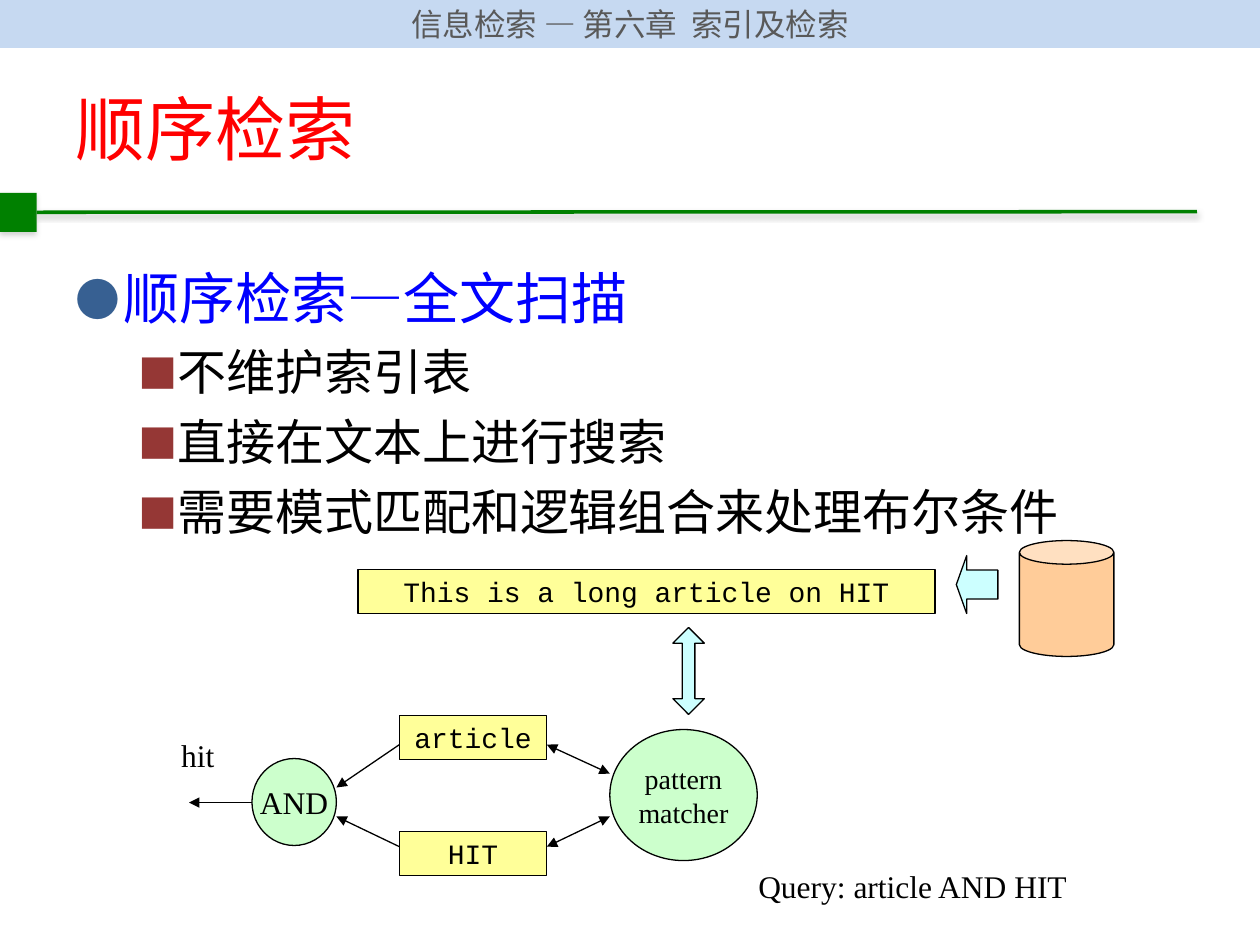
import pptx
import pptx.util
import pptx.dml.color
import pptx.enum.shapes
import pptx.enum.text
import pptx.oxml.ns
from lxml import etree

Inches = pptx.util.Inches
Pt = pptx.util.Pt
RGBColor = pptx.dml.color.RGBColor
KIND = pptx.enum.shapes.MSO_SHAPE
ALIGN = pptx.enum.text.PP_ALIGN
MIDDLE = pptx.enum.text.MSO_ANCHOR.MIDDLE
qn = pptx.oxml.ns.qn

BLACK = RGBColor(0, 0, 0)
GRAY = RGBColor(0x59, 0x59, 0x59)
RED = RGBColor(0xFF, 0, 0)
BLUE = RGBColor(0, 0, 0xFF)
GREEN = RGBColor(0, 0x80, 0)
PALE = RGBColor(0xC6, 0xD9, 0xF1)
STEEL = RGBColor(0x37, 0x60, 0x92)
BRICK = RGBColor(0x95, 0x37, 0x35)
PEACH = RGBColor(0xFF, 0xCC, 0x99)
CYAN = RGBColor(0xCC, 0xFF, 0xFF)
YELLOW = RGBColor(0xFF, 0xFF, 0x99)
MINT = RGBColor(0xCC, 0xFF, 0xCC)

HAN = "Noto Sans CJK SC"
MONO = "Courier New"
SERIF = "Times New Roman"


def add_tag(node, name, **attrs):
    return etree.SubElement(node, qn(name), attrs)


def style(par, size, face, color=BLACK, align=None):
    par.font.size = Pt(size)
    par.font.name = face
    par.font.color.rgb = color
    par.alignment = align
    base = par._p.pPr.find(qn("a:defRPr"))
    add_tag(base, "a:ea", typeface=HAN)
    return base


def write(frame, text, size, face, color=BLACK, align=None):
    frame.text = text
    for par in frame.paragraphs:
        style(par, size, face, color, align)


def add_shade(shape, alpha):
    fx = add_tag(shape._element.spPr, "a:effectLst")
    shade = add_tag(fx, "a:outerShdw", blurRad=str(Pt(3.1)), dist=str(Pt(1.7)),
                    dir="5400000", rotWithShape="0")
    tint = add_tag(shade, "a:srgbClr", val="808080")
    add_tag(tint, "a:alpha", val=str(alpha * 1000))


def add_block(slide, kind, box, fill, edge=BLACK, adjust=()):
    shape = slide.shapes.add_shape(kind, *map(Inches, box))
    shape.fill.solid()
    shape.fill.fore_color.rgb = fill
    if edge is None:
        shape.line.fill.background()
    else:
        shape.line.color.rgb = edge
        shape.line.width = Pt(0.75)
    for i, value in enumerate(adjust):
        shape.adjustments[i] = value
    shape.shadow.inherit = False
    return shape


def add_node(slide, kind, box, fill, text, size, face):
    frame = add_block(slide, kind, box, fill).text_frame
    frame.word_wrap = False
    frame.vertical_anchor = MIDDLE
    write(frame, text, size, face, align=ALIGN.CENTER)


def add_label(slide, box, text):
    frame = slide.shapes.add_textbox(*map(Inches, box)).text_frame
    frame.word_wrap = False
    write(frame, text, 18, SERIF)


def add_line(slide, start, end, color=BLACK, width=0.75):
    line = slide.shapes.add_connector(
        pptx.enum.shapes.MSO_CONNECTOR.STRAIGHT, *map(Inches, start + end))
    line.line.color.rgb = color
    line.line.width = Pt(width)
    return line


def add_arrow(slide, start, end, both=False):
    line = add_line(slide, start, end)
    prop = line._element.spPr
    edge = prop.find(qn("a:ln"))
    if both:
        add_tag(edge, "a:headEnd", type="triangle")
    add_tag(edge, "a:tailEnd", type="triangle")
    add_tag(prop, "a:effectLst")


def add_bullet(par, base, mark, color, left, hang):
    prop = par._p.pPr
    prop.set("marL", str(Inches(left)))
    prop.set("indent", str(-Inches(hang)))
    tint = add_tag(prop, "a:buClr")
    add_tag(tint, "a:srgbClr", val=str(color))
    add_tag(prop, "a:buSzPct", val="80000")
    add_tag(prop, "a:buFont", typeface=HAN)
    add_tag(prop, "a:buChar", char=mark)
    prop.append(base)


def add_frame(slide):
    band = add_block(slide, KIND.RECTANGLE, (0, 0, 10, 0.38), PALE, None)
    band.text_frame.vertical_anchor = MIDDLE
    write(band.text_frame, "信息检索 — 第六章  索引及检索", 18, HAN, GRAY, ALIGN.CENTER)
    square = add_block(slide, KIND.RECTANGLE, (0, 1.53, 0.29, 0.31), GREEN, None)
    fx = square._element.spPr.find(qn("a:effectLst"))
    square._element.spPr.remove(fx)
    add_shade(square, 35)
    rule = add_line(slide, (0.29, 1.69), (9.5, 1.68), GREEN, 2)
    rule.begin_connect(square, 3)
    add_shade(rule, 38)


def add_title(slide):
    title = slide.shapes.title
    title.left, title.top, title.width, title.height = map(Inches, (0.5, 0.56, 9, 0.91))
    title.text_frame.vertical_anchor = MIDDLE
    write(title.text_frame, "顺序检索", 40, HAN, RED, ALIGN.JUSTIFY)


def add_body(slide):
    frame = slide.shapes.add_textbox(*map(Inches, (0.5, 1.88, 9, 2.52))).text_frame
    frame.word_wrap = True
    frame.text = "\n".join(["顺序检索—全文扫描", "不维护索引表", "直接在文本上进行搜索",
                            "需要模式匹配和逻辑组合来处理布尔条件"])
    head, *points = frame.paragraphs
    head.line_spacing = Pt(50)
    base = style(head, 32, "Calibri", BLUE)
    add_bullet(head, base, "●", STEEL, 0.38, 0.38)
    for par in points:
        par.level = 1
        par.line_spacing = Pt(40)
        base = style(par, 28, HAN)
        add_bullet(par, base, "■", BRICK, 0.81, 0.31)


def add_flow(slide):
    add_block(slide, KIND.CAN, (8.09, 4.29, 0.75, 0.92), PEACH, adjust=(0.25,))
    add_block(slide, KIND.LEFT_ARROW, (7.59, 4.41, 0.33, 0.46), CYAN, adjust=(0.5, 0.25))
    add_block(slide, KIND.UP_DOWN_ARROW, (5.34, 4.98, 0.25, 0.69), CYAN, adjust=(0.5, 0.4))
    for box, text in (((2.84, 4.52, 4.58, 0.35), "This is a long article on HIT"),
                      ((3.17, 5.68, 1.17, 0.35), "article"),
                      ((3.17, 6.6, 1.17, 0.35), "HIT")):
        add_node(slide, KIND.RECTANGLE, box, YELLOW, text, 16, MONO)
    add_node(slide, KIND.OVAL, (2, 6.02, 0.67, 0.69), MINT, "AND", 18, SERIF)
    add_node(slide, KIND.OVAL, (4.84, 5.79, 1.17, 1.04), MINT, "pattern\nmatcher", 16, SERIF)
    for term, gate, match in ((5.91, 6.25, 6.14), (6.72, 6.48, 6.48)):
        add_arrow(slide, (3.17, term), (2.67, gate))
        add_arrow(slide, (4.34, term), (4.84, match), both=True)
    add_arrow(slide, (2, 6.37), (1.5, 6.37))
    add_label(slide, (1.34, 5.79, 0.47, 0.56), "hit")
    add_label(slide, (5.92, 6.83, 2.67, 0.56), "Query: article AND HIT")


def main():
    deck = pptx.Presentation()
    deck.slide_width, deck.slide_height = Inches(10), Inches(7.5)
    slide = deck.slides.add_slide(deck.slide_layouts[5])
    add_frame(slide)
    add_title(slide)
    add_body(slide)
    add_flow(slide)
    deck.save("out.pptx")


if __name__ == "__main__":
    main()
